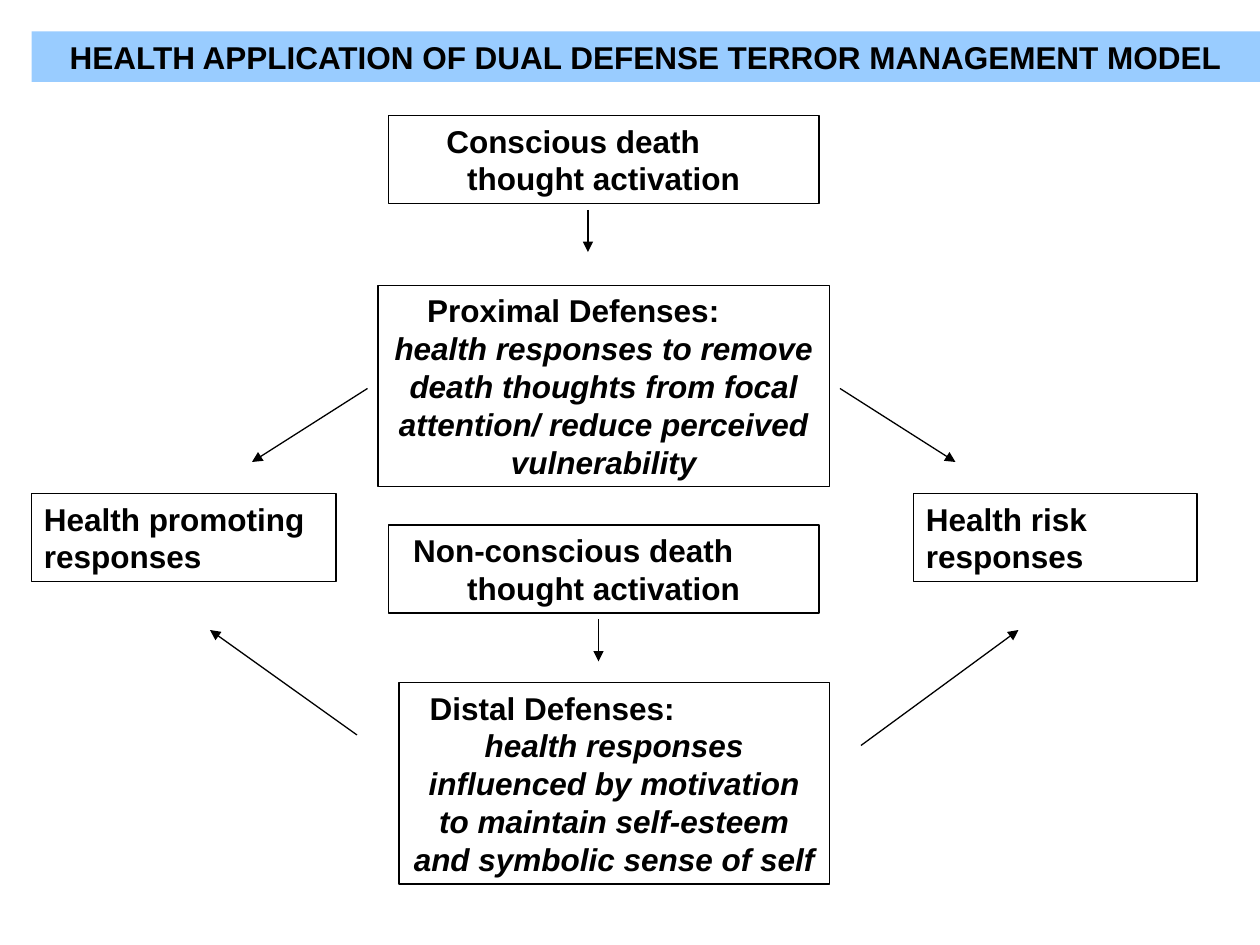
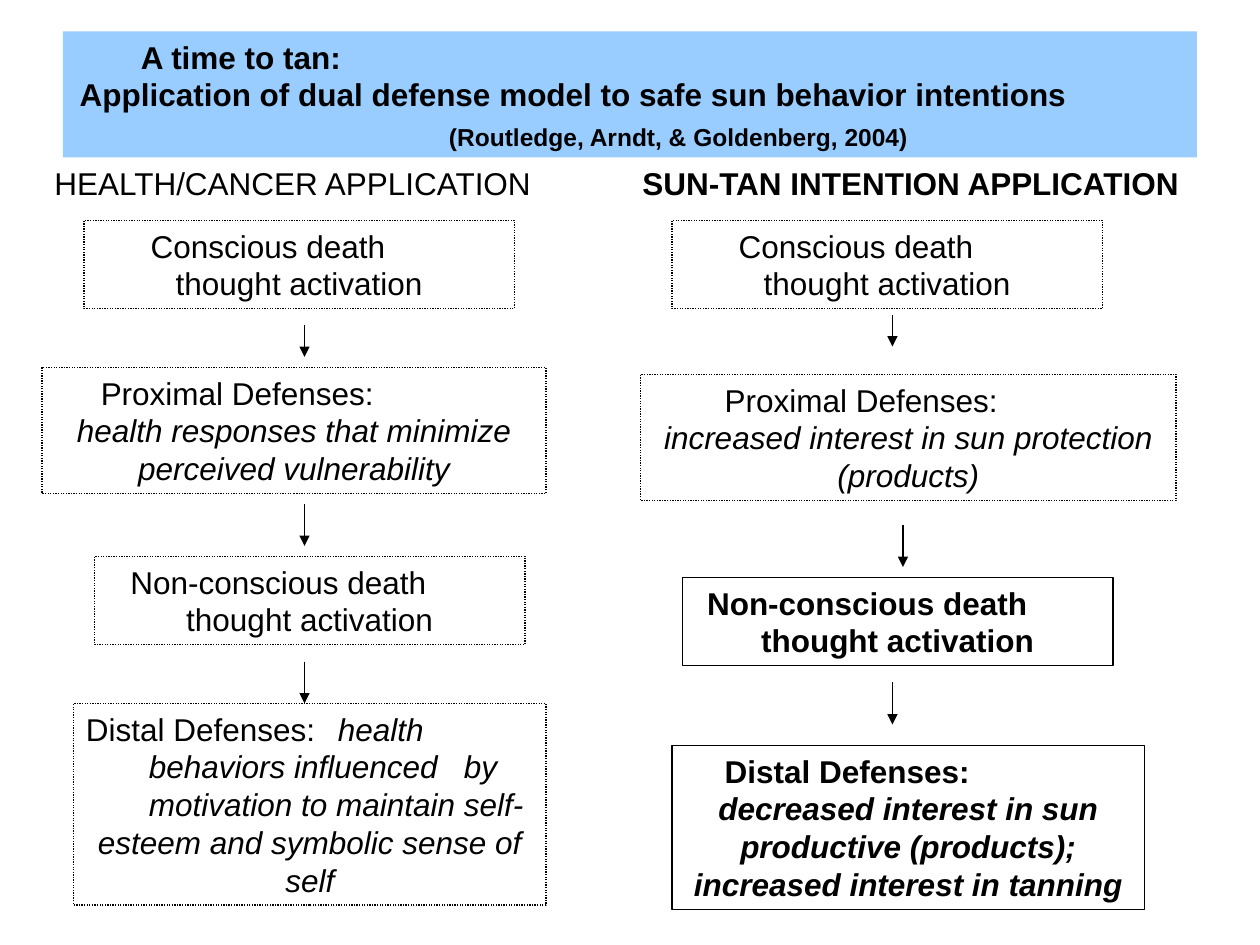
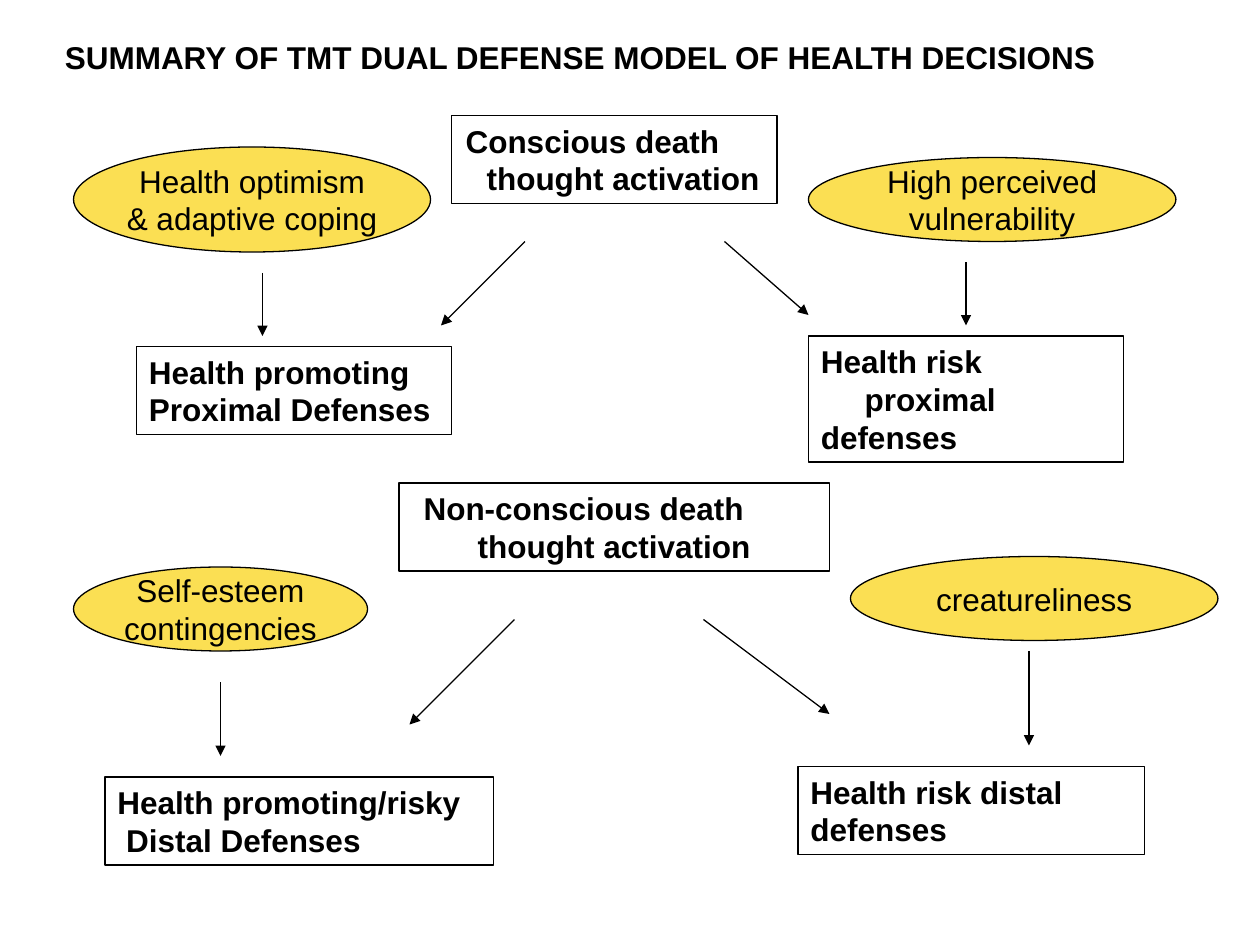
from dataclasses import dataclass

from lxml.etree import SubElement
from pptx import Presentation
from pptx.dml.color import RGBColor
from pptx.enum.dml import MSO_LINE
from pptx.enum.shapes import MSO_CONNECTOR, MSO_SHAPE
from pptx.enum.text import MSO_ANCHOR, PP_ALIGN
from pptx.oxml.ns import qn
from pptx.util import Pt


@dataclass(frozen=True)
class Theme:
    font: str = "Arial"
    ink: RGBColor = RGBColor(0x00, 0x00, 0x00)
    band: RGBColor = RGBColor(0x99, 0xCC, 0xFF)
    oval: RGBColor = RGBColor(0xFB, 0xDF, 0x53)
    body: float = 18
    citation: float = 14
    pitch: float = 21.6
    pad_x: float = 7.2
    pad_y: float = 3.6
    stroke: float = 0.75


T = Theme()
BOLD = {"bold": True}
LIGHT = {"bold": False}
ITALIC = {"italic": True}


@dataclass
class Line:
    """One paragraph: centred, or set left at an indent, with optional tab stops."""
    text: str
    indent: float | None = None
    fmt: tuple | dict = ()
    tabs: tuple = ()


def activation(first, indent, second_indent=None):
    return [Line(first, indent), Line("thought activation", second_indent)]


def defense(name, indent, response):
    return [Line(f"{name} Defenses:", indent), Line(response, None, ITALIC)]


def flush(*texts):
    return [Line(text, 0) for text in texts]


def set_attributes(target, values):
    for name, value in values.items():
        setattr(target, name, value)


def write(sp, lines, style, wrap=True, anchor=MSO_ANCHOR.TOP):
    tf = sp.text_frame
    set_attributes(tf, {
        "word_wrap": wrap, "vertical_anchor": anchor,
        "margin_left": Pt(T.pad_x), "margin_right": Pt(T.pad_x),
        "margin_top": Pt(T.pad_y), "margin_bottom": Pt(T.pad_y)})
    for i, line in enumerate(lines):
        p = tf.add_paragraph() if i else tf.paragraphs[0]
        p.line_spacing = Pt(T.pitch)
        p.alignment = PP_ALIGN.CENTER if line.indent is None else PP_ALIGN.LEFT
        pPr = p._p.get_or_add_pPr()
        pPr.set("marL", str(Pt(line.indent or 0)))
        pPr.set("indent", "0")
        if line.tabs:
            stops = SubElement(pPr, qn("a:tabLst"))
            for stop in line.tabs:
                SubElement(stops, qn("a:tab"), pos=str(Pt(stop)), algn="l")
        r = p.add_run()
        r.text = line.text
        set_attributes(r.font, {"name": T.font, "size": Pt(T.body),
                                **style, **dict(line.fmt)})
        r.font.color.rgb = T.ink


def height_of(rows):
    return rows * T.pitch + 2 * T.pad_y


def shape(slide, kind, x, y, w, h, fill=None, outlined=True, dash=None):
    sp = slide.shapes.add_shape(kind, Pt(x), Pt(y), Pt(w), Pt(h))
    sp.shadow.inherit = False
    if fill is None:
        sp.fill.background()
    else:
        sp.fill.solid()
        sp.fill.fore_color.rgb = fill
    if outlined:
        sp.line.color.rgb = T.ink
        sp.line.width = Pt(T.stroke)
        if dash:
            sp.line.dash_style = dash
    else:
        sp.line.fill.background()
    return sp


def band(slide, x, y, w, lines):
    sp = shape(slide, MSO_SHAPE.RECTANGLE, x, y, w, height_of(len(lines)),
               T.band, outlined=False)
    write(sp, lines, BOLD)


def label(slide, x, y, w, text, style):
    sp = slide.shapes.add_textbox(Pt(x), Pt(y), Pt(w), Pt(height_of(1)))
    write(sp, flush(text), style)


def box(slide, x, y, w, rows, lines, style=BOLD):
    dash = MSO_LINE.ROUND_DOT if style is LIGHT else None
    sp = shape(slide, MSO_SHAPE.RECTANGLE, x, y, w, height_of(rows), dash=dash)
    write(sp, lines, style)


def oval(slide, x, y, w, h, *texts):
    sp = shape(slide, MSO_SHAPE.OVAL, x, y, w, h, T.oval)
    write(sp, [Line(text) for text in texts], LIGHT, False, MSO_ANCHOR.MIDDLE)


def arrow(slide, x1, y1, x2, y2):
    c = slide.shapes.add_connector(MSO_CONNECTOR.STRAIGHT,
                                   Pt(x1), Pt(y1), Pt(x2), Pt(y2))
    c.line.color.rgb = T.ink
    c.line.width = Pt(T.stroke)
    SubElement(c.line._get_or_add_ln(), qn("a:tailEnd"), type="triangle")
    SubElement(c._element.spPr, qn("a:effectLst"))


def diagram(slide, x, y, boxes, arrows, ovals=()):
    """Place boxes, ovals and arrows given relative to the corner x, y."""
    for dx, dy, *rest in boxes:
        box(slide, x + dx, y + dy, *rest)
    for dx, dy, *rest in ovals:
        oval(slide, x + dx, y + dy, *rest)
    for x1, y1, x2, y2 in arrows:
        arrow(slide, x + x1, y + y1, x + x2, y + y2)


def health_model(slide):
    band(slide, 18, 18, 702,
         [Line("HEALTH APPLICATION OF DUAL DEFENSE TERROR MANAGEMENT MODEL")])
    diagram(
        slide, 18, 66,
        boxes=[
            (204, 0, 246, 2, activation("Conscious death", 26)),
            (198, 97, 258, 5, defense(
                "Proximal", 21,
                "health responses to remove death thoughts from focal "
                "attention/ reduce perceived vulnerability")),
            (210, 324, 246, 5, defense(
                "Distal", 10.5,
                "health responses influenced by motivation to maintain "
                "self-esteem and symbolic sense of self")),
            (0, 216, 174, 2, flush("Health promoting responses")),
            (504, 216, 162, 2, flush("Health risk responses")),
            (204, 234, 246, 2, activation("Non-conscious death", 7)),
        ],
        arrows=[
            (318, 54, 318, 78), (324, 288, 324, 312),
            (462, 156, 528, 198), (192, 156, 126, 198),
            (186, 354, 102, 294), (474, 360, 564, 294),
        ])


def application_column(slide, x, y, w, heading, style, boxes, arrows):
    label(slide, x, y, w, heading, style)
    diagram(slide, x, y, boxes, arrows)


def sun_tan_study(slide):
    band(slide, 36, 18, 648, [
        Line("A time to tan:", 37.5),
        Line("Application of dual defense model to safe sun behavior intentions", 2.5),
        Line("(Routledge, Arndt, & Goldenberg, 2004)", 213.5,
             {"size": Pt(T.citation)}),
    ])
    health_distal = [
        Line("Distal Defenses:", 0),
        Line("\tbehaviors influenced\tby", 0, ITALIC, (26, 211)),
        Line("\tmotivation to maintain\tself-", 0, ITALIC, (11, 211)),
        Line("esteem and symbolic sense of self", None, ITALIC),
    ]
    application_column(
        slide, 24, 90, 312, "HEALTH/CANCER APPLICATION", LIGHT,
        boxes=[
            (24, 36, 246, 2, activation("Conscious death", 31), LIGHT),
            (0, 120, 288, 3, defense(
                "Proximal", 26.5,
                "health responses that minimize perceived vulnerability"), LIGHT),
            (18, 312, 270, 5, health_distal, LIGHT),
            (30, 228, 246, 2, activation("Non-conscious death", 13.5), LIGHT),
        ],
        arrows=[(150, 96, 150, 114), (150, 198, 150, 222), (150, 288, 150, 312)])
    # The response starts on the heading line of the health column's last box.
    p = slide.shapes[-4 - 1].text_frame.paragraphs[0]
    stops = SubElement(p._p.get_or_add_pPr(), qn("a:tabLst"))
    SubElement(stops, qn("a:tab"), pos=str(Pt(206)), algn="l")
    r = p.add_run()
    r.text = "\thealth"
    set_attributes(r.font, {"name": T.font, "size": Pt(T.body), **ITALIC})
    r.font.color.rgb = T.ink
    application_column(
        slide, 360, 90, 336, "SUN-TAN INTENTION APPLICATION", BOLD,
        boxes=[
            (24, 36, 246, 2, activation("Conscious death", 31), LIGHT),
            (6, 124, 306, 3, defense(
                "Proximal", 41,
                "increased interest in sun protection (products)"), LIGHT),
            (24, 336, 270, 4, defense(
                "Distal", 23,
                "decreased interest in sun productive (products); "
                "increased interest in tanning")),
            (30, 240, 246, 2, activation("Non-conscious death", 7)),
        ],
        arrows=[(150, 90, 150, 108), (156, 210, 156, 234), (150, 300, 150, 324)])


def summary(slide):
    label(slide, 30, 18, 648,
          "SUMMARY OF TMT DUAL DEFENSE MODEL OF HEALTH DECISIONS", BOLD)
    diagram(
        slide, 42, 66,
        boxes=[
            (216, 0, 186, 2, activation("Conscious death", 1, 13)),
            (36, 132, 180, 2, flush("Health promoting", "Proximal Defenses")),
            (420, 126, 180, 3, [Line("Health risk", 0), Line("proximal", 25),
                                Line("defenses", 0)]),
        ],
        ovals=[
            (0, 18, 204, 60, "Health optimism", "& adaptive coping"),
            (420, 24, 210, 48, "High perceived", "vulnerability"),
        ],
        arrows=[(108, 90, 108, 126), (510, 84, 510, 120),
                (258, 72, 210, 120), (372, 72, 420, 114)])
    diagram(
        slide, 42, 276,
        boxes=[
            (186, 0, 246, 2, activation("Non-conscious death", 7)),
            (414, 162, 198, 2, flush("Health risk distal", "defenses")),
            (18, 168, 222, 2, [Line("Health promoting/risky", 0),
                               Line("Distal Defenses", 5)]),
        ],
        ovals=[
            (0, 48, 168, 48, "Self-esteem", "contingencies"),
            (444, 42, 210, 48, "creatureliness"),
        ],
        arrows=[(252, 78, 192, 138), (360, 78, 432, 132),
                (84, 114, 84, 156), (546, 96, 546, 150)])


def main():
    prs = Presentation()
    prs.slide_width, prs.slide_height = Pt(720), Pt(540)
    for build in (health_model, sun_tan_study, summary):
        build(prs.slides.add_slide(prs.slide_layouts[6]))
    prs.save("out.pptx")


if __name__ == "__main__":
    main()
